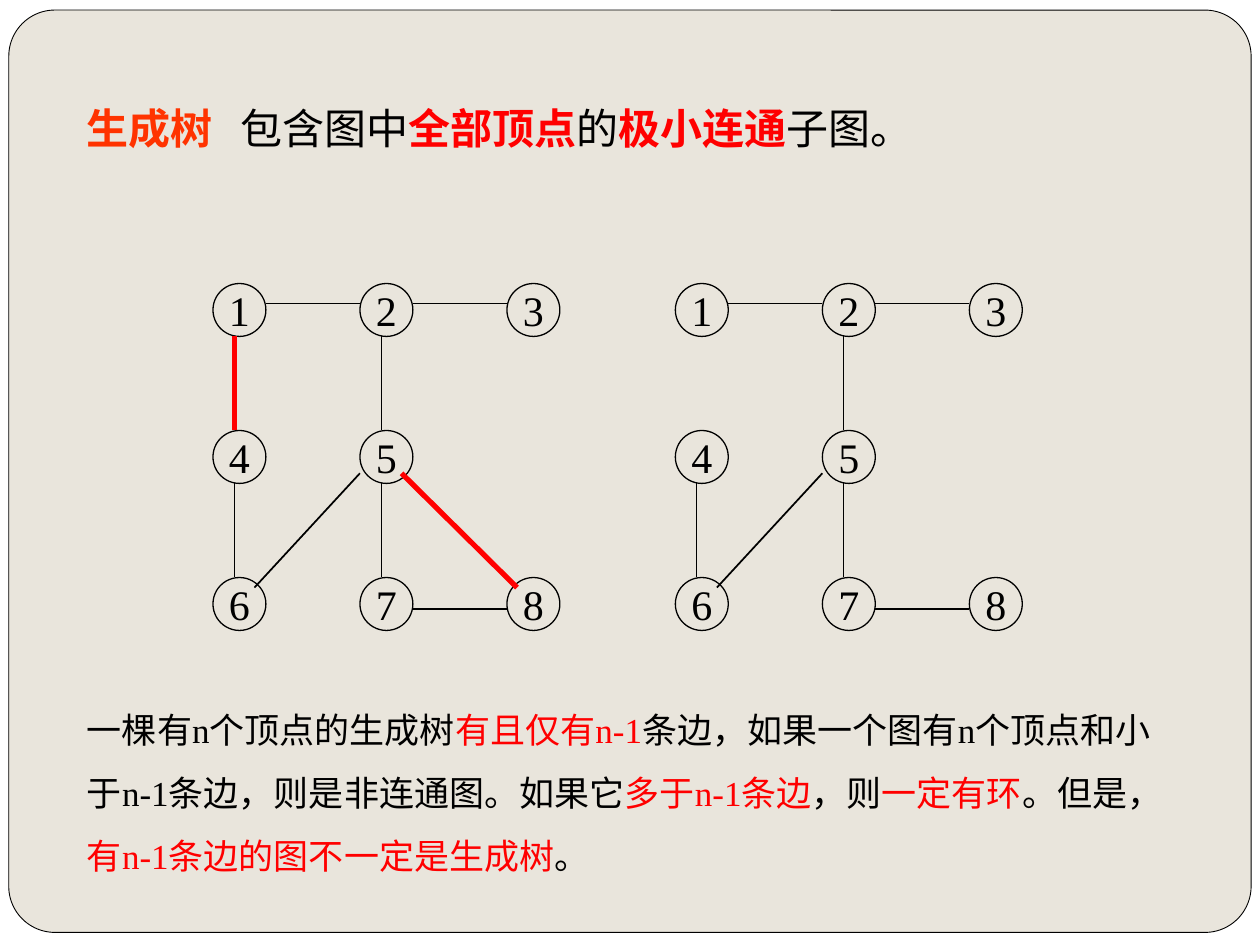
"""Build a slide that defines spanning trees, with two example graphs."""
import pptx
import pptx.dml.color
import pptx.enum.dml
import pptx.enum.shapes
import pptx.enum.text
import pptx.oxml
import pptx.util
from pptx.util import Inches, Pt

BLACK = pptx.dml.color.RGBColor(0x00, 0x00, 0x00)
RED = pptx.dml.color.RGBColor(0xFF, 0x00, 0x00)
ORANGE = pptx.dml.color.RGBColor(0xFF, 0x33, 0x00)
PAPER = pptx.dml.color.RGBColor(0xE9, 0xE5, 0xDC)
FONT = "Times New Roman"
NAMESPACE = 'xmlns:a="http://schemas.openxmlformats.org/drawingml/2006/main"'

TITLE = [
    ("生成树", ORANGE, True),
    ("\t包含图中", BLACK, False),
    ("全部顶点", RED, True),
    ("的", BLACK, False),
    ("极小连通", RED, True),
    ("子图。", BLACK, False),
]
BODY = [
    ("一棵有n个顶点的生成树", BLACK, False),
    ("有且仅有n-1", RED, False),
    ("条边，如果一个图有n个顶点和小于n-1条边，则是非连通图。如果它", BLACK, False),
    ("多于n-1条边", RED, False),
    ("，则", BLACK, False),
    ("一定有环", RED, False),
    ("。但是，", BLACK, False),
    ("有n-1条边的图不一定是生成树", RED, False),
    ("。", BLACK, False),
]

NODES = {
    "1": (0, 0), "2": (1, 0), "3": (2, 0),
    "4": (0, 1), "5": (1, 1),
    "6": (0, 2), "7": (1, 2), "8": (2, 2),
}
DIAMETER = 0.42
PITCH = 3.5 / 3
GRAPH_TOP = 2.25
PORTS = {
    "right": (DIAMETER, 0.16),
    "left": (0, 0.16),
    "low right": (DIAMETER, 0.25),
    "low left": (0, 0.25),
    "bottom": (0.17, DIAMETER),
    "top": (0.17, 0),
    "southwest": (0, 0.34),
    "southeast": (0.33, 0.34),
    "northeast": (0.33, 0.08),
    "northwest": (0.08, 0.08),
}
TREE_EDGES = [
    ("1", "right", "2", "left", BLACK, 0.75),
    ("2", "right", "3", "left", BLACK, 0.75),
    ("4", "bottom", "6", "top", BLACK, 0.75),
    ("2", "bottom", "5", "top", BLACK, 0.75),
    ("5", "bottom", "7", "top", BLACK, 0.75),
    ("7", "low right", "8", "low left", BLACK, 0.75),
    ("5", "southwest", "6", "northeast", BLACK, 1),
]
CYCLE_EDGES = [
    ("5", "southeast", "8", "northwest", RED, 3),
    ("1", "bottom", "4", "top", RED, 3),
]
GRAPHS = [(1.69, TREE_EDGES + CYCLE_EDGES), (5.36, TREE_EDGES)]


def add_span(para, text, size, color, bold=False):
    span = para.add_run()
    span.text = text
    span.font.name = FONT
    span.font.size = Pt(size)
    span.font.bold = bold
    span.font.color.rgb = color


def fill_placeholder(box, place, spans, size, anchor):
    box.left, box.top, box.width, box.height = map(Inches, place)
    frame = box.text_frame
    frame.auto_size = pptx.enum.text.MSO_AUTO_SIZE.NONE
    frame.word_wrap = True
    frame.vertical_anchor = anchor
    para = frame.paragraphs[0]
    para.alignment = pptx.enum.text.PP_ALIGN.LEFT
    para.space_before = Pt(0)
    for text, color, bold in spans:
        add_span(para, text, size, color, bold)
    return para


def add_outline(page, kind, place, width):
    shape = page.shapes.add_shape(kind, *map(Inches, place))
    shape.shadow.inherit = False
    shape.fill.background()
    shape.line.color.rgb = BLACK
    shape.line.width = Pt(width)
    return shape


def add_node(page, label, left, top):
    place = (left, top, DIAMETER, DIAMETER)
    node = add_outline(page, pptx.enum.shapes.MSO_SHAPE.OVAL, place, 0.75)
    frame = node.text_frame
    frame.margin_left = frame.margin_right = 0
    frame.margin_top = frame.margin_bottom = 0
    frame.word_wrap = False
    frame.vertical_anchor = pptx.enum.text.MSO_ANCHOR.MIDDLE
    para = frame.paragraphs[0]
    para.alignment = pptx.enum.text.PP_ALIGN.CENTER
    add_span(para, label, 24, BLACK)


def add_edge(page, start, end, color, width):
    edge = page.shapes.add_connector(
        pptx.enum.shapes.MSO_CONNECTOR.STRAIGHT, *map(Inches, start + end))
    edge.line.color.rgb = color
    edge.line.width = Pt(width)
    edge._element.spPr.append(pptx.oxml.parse_xml(f"<a:effectLst {NAMESPACE}/>"))


def add_graph(page, graph_left, edges):
    corners = {label: (graph_left + column * PITCH, GRAPH_TOP + row * PITCH)
               for label, (column, row) in NODES.items()}

    def port_point(label, port):
        return tuple(a + b for a, b in zip(corners[label], PORTS[port]))

    for label, corner in corners.items():
        add_node(page, label, *corner)
    for first, leave, second, enter, color, width in edges:
        add_edge(page, port_point(first, leave), port_point(second, enter), color, width)


def main():
    deck = pptx.Presentation()
    deck.slide_width, deck.slide_height = Inches(10), Inches(7.5)
    page = deck.slides.add_slide(deck.slide_layouts[1])
    title, body = page.placeholders

    panel = add_outline(page, pptx.enum.shapes.MSO_SHAPE.ROUNDED_RECTANGLE,
                        (0.07, 0.08, 9.86, 7.32), 0.5)
    panel.adjustments[0] = 0.05
    panel.fill.solid()
    panel.fill.fore_color.rgb = PAPER
    title._element.addprevious(panel._element)

    heading = fill_placeholder(title, (0.59, 0.36, 8.98, 1.31), TITLE, 24,
                               pptx.enum.text.MSO_ANCHOR.MIDDLE)
    heading._p.get_or_add_pPr().append(pptx.oxml.parse_xml(
        f'<a:tabLst {NAMESPACE}><a:tab pos="{Inches(1.22)}" algn="l"/></a:tabLst>'))

    for graph_left, edges in GRAPHS:
        add_graph(page, graph_left, edges)

    summary = fill_placeholder(body, (0.59, 5.41, 8.88, 1.61), BODY, 20,
                               pptx.enum.text.MSO_ANCHOR.TOP)
    summary.line_spacing = 1.5
    properties = summary._p.get_or_add_pPr()
    properties.set("marL", "0")
    properties.set("indent", "0")
    properties.append(pptx.oxml.parse_xml(f"<a:buNone {NAMESPACE}/>"))

    deck.save("out.pptx")


if __name__ == "__main__":
    main()
